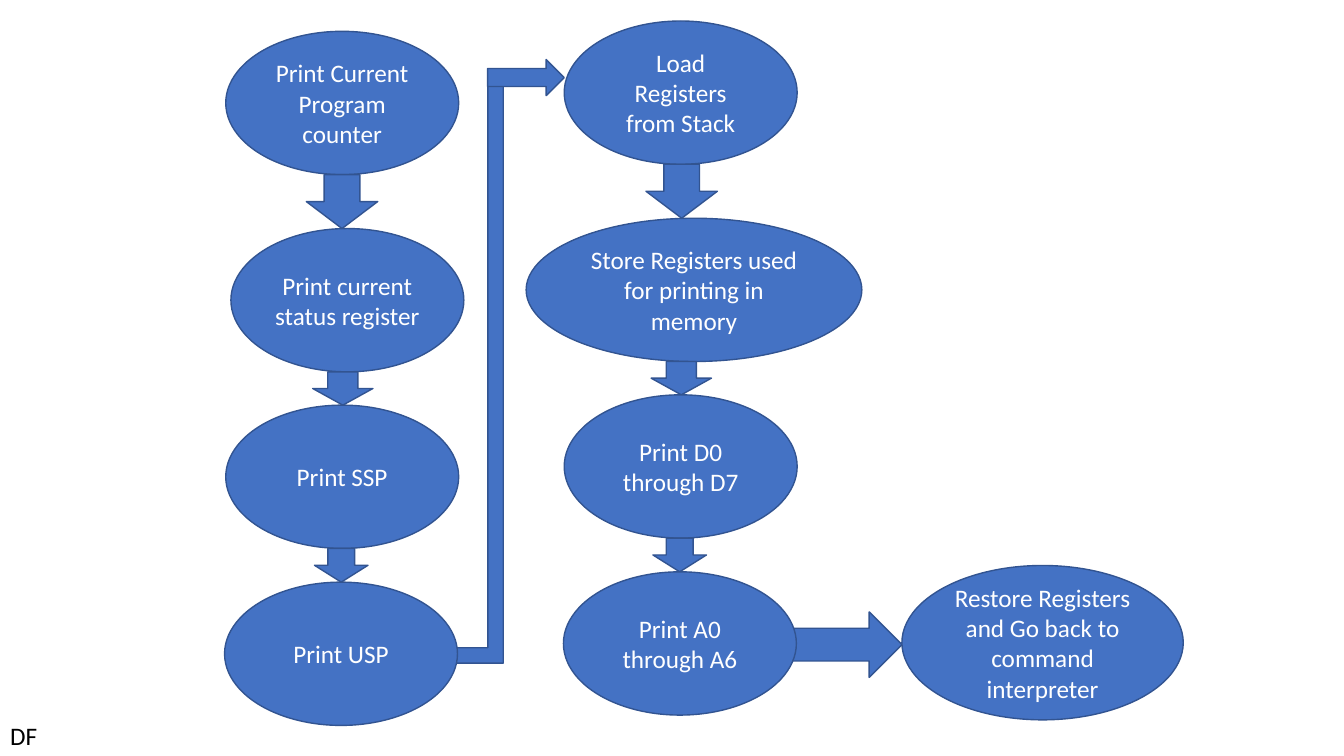
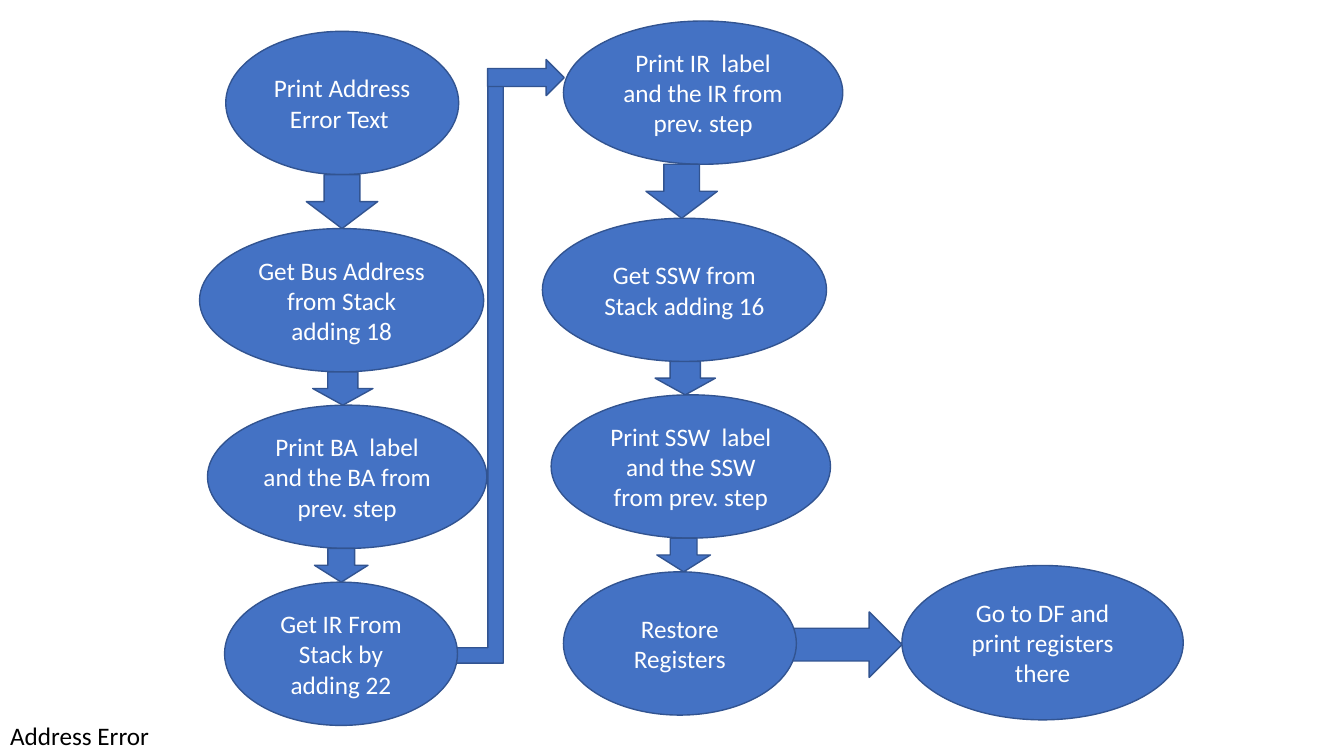
from pptx import Presentation
from pptx.dml.color import RGBColor
from pptx.enum.shapes import MSO_SHAPE
from pptx.enum.text import MSO_ANCHOR, MSO_AUTO_SIZE, PP_ALIGN
from pptx.util import Cm, Pt

ELLIPSE = MSO_SHAPE.OVAL
DOWN_ARROW = MSO_SHAPE.DOWN_ARROW
RIGHT_ARROW = MSO_SHAPE.RIGHT_ARROW
BENT_ARROW = MSO_SHAPE.BENT_UP_ARROW
MIDDLE, TOP = MSO_ANCHOR.MIDDLE, MSO_ANCHOR.TOP
CENTER, LEFT = PP_ALIGN.CENTER, PP_ALIGN.LEFT
FIT_SHAPE = MSO_AUTO_SIZE.SHAPE_TO_FIT_TEXT

BLUE = RGBColor(0x44, 0x72, 0xC4)
DARK_BLUE = RGBColor(0x32, 0x54, 0x91)
WHITE = RGBColor(0xFF, 0xFF, 0xFF)
BLACK = RGBColor(0x00, 0x00, 0x00)
FONT = "Calibri"
TITLE_ONLY = 5

# Lengths in centimetres
STEP_HEIGHT = 3.61
STEP_GAPS = (1.36, 0.84, 0.85)
ARROW_WIDTHS = (1.8, 1.52, 1.35)
LEFT_TOP, RIGHT_TOP = 0.79, 0.53
NARROW, MEDIUM, WIDE, WIDEST = 5.87, 7.04, 7.16, 8.46

# Each step is (text, left, width); arrows are the centres of the down arrows
FLOWS = [
    {
        "title": "DF",
        "left_steps": [
            ("Print Current Program counter", 5.69, NARROW),
            ("Print current status register", 5.82, NARROW),
            ("Print SSP", 5.69, NARROW),
            ("Print USP", 5.66, NARROW),
        ],
        "right_steps": [
            ("Load Registers from Stack", 14.22, NARROW),
            ("Store Registers used for printing in memory", 13.26, WIDEST),
            ("Print D0 through D7", 14.22, NARROW),
            ("Print A0 through A6", 14.2, NARROW),
        ],
        "right_arrows": (17.18, 17.17, 17.13),
        "last_step": "Restore Registers and Go back to command interpreter",
    },
    {
        "title": "Address Error ",
        "left_steps": [
            ("Print Address Error Text ", 5.69, NARROW),
            ("Get Bus Address from Stack adding 18", 5.03, WIDE),
            ("Print BA  label and the BA from prev. step", 5.23, MEDIUM),
            ("Get IR From Stack by adding 22", 5.66, NARROW),
        ],
        "right_steps": [
            ("Print IR  label and the IR from prev. step", 14.2, MEDIUM),
            ("Get SSW from Stack adding 16", 13.67, WIDE),
            ("Print SSW  label and the SSW from prev. step", 13.89, MEDIUM),
            ("Restore Registers", 14.2, NARROW),
        ],
        "right_arrows": (17.18, 17.27, 17.23),
        "last_step": "Go to DF and print registers there",
    },
]
LEFT_ARROWS = (8.62, 8.64, 8.6)


def write_text(shape, text, color, alignment, anchor):
    frame = shape.text_frame
    frame.word_wrap = True
    frame.vertical_anchor = anchor
    paragraph = frame.paragraphs[0]
    paragraph.text = text
    paragraph.alignment = alignment
    paragraph.font.name = FONT
    paragraph.font.size = Pt(18)
    paragraph.font.color.rgb = color


def add_block(slide, kind, left, top, width, height):
    shape = slide.shapes.add_shape(kind, Cm(left), Cm(top), Cm(width), Cm(height))
    shape.shadow.inherit = False
    shape.fill.solid()
    shape.fill.fore_color.rgb = BLUE
    shape.line.color.rgb = DARK_BLUE
    shape.line.width = Pt(1)
    return shape


def add_step(slide, text, left, top, width, height=STEP_HEIGHT):
    step = add_block(slide, ELLIPSE, left, top, width, height)
    write_text(step, text, WHITE, CENTER, MIDDLE)


def add_column(slide, steps, arrow_centers, top):
    # The last step of a column has no arrow below it
    arrows = [*zip(arrow_centers, ARROW_WIDTHS, STEP_GAPS), None]
    for (text, left, width), arrow in zip(steps, arrows):
        add_step(slide, text, left, top, width)
        top += STEP_HEIGHT
        if arrow:
            center, arrow_width, gap = arrow
            add_block(slide, DOWN_ARROW, center - arrow_width / 2, top,
                      arrow_width, gap)
            top += gap


def add_title(slide, text):
    title = slide.shapes.title
    title.left, title.top = Cm(0), Cm(18.03)
    title.width, title.height = Cm(5.23), Cm(1.02)
    write_text(title, text, BLACK, LEFT, TOP)
    title.text_frame.auto_size = FIT_SHAPE


def add_flow_slide(presentation, flow):
    slide = presentation.slides.add_slide(presentation.slide_layouts[TITLE_ONLY])
    add_title(slide, flow["title"])

    # Arrows that start behind the steps
    add_block(slide, RIGHT_ARROW, 19.61, 15.42, 3.12, 1.65)
    riser = add_block(slide, BENT_ARROW, 11.13, 1.83, 1.55, 14.88)
    for index, value in enumerate((0.25, 0.123, 0.213)):
        riser.adjustments[index] = value

    # Two columns, the link between them, and the final step
    add_column(slide, flow["left_steps"], LEFT_ARROWS, LEFT_TOP)
    add_block(slide, RIGHT_ARROW, 12.29, 1.5, 1.93, 0.91)
    add_column(slide, flow["right_steps"], flow["right_arrows"], RIGHT_TOP)
    add_step(slide, flow["last_step"], 22.73, 14.25, 7.09, 3.89)


def main():
    presentation = Presentation()
    presentation.slide_width = Cm(33.87)
    presentation.slide_height = Cm(19.05)
    for flow in FLOWS:
        add_flow_slide(presentation, flow)
    presentation.save("out.pptx")


main()
